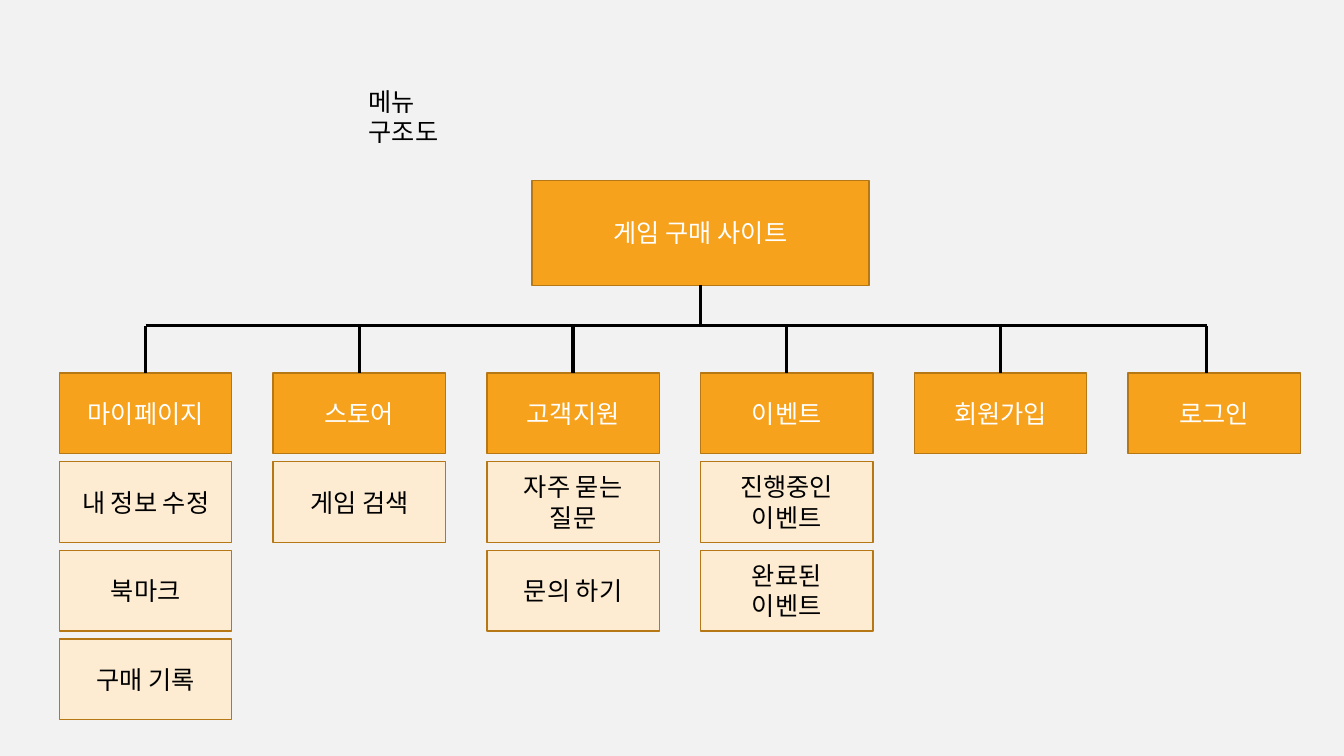
from dataclasses import dataclass

from lxml import etree
from pptx import Presentation
from pptx import util as u
from pptx.dml.color import RGBColor
from pptx.enum import shapes, text
from pptx.oxml.ns import qn


@dataclass(frozen=True)
class Theme:
    back: str = "F2F2F2"
    main: str = "F6A21D"
    pale: str = "FDECD2"
    edge: str = "B67815"
    dark: str = "000000"
    light: str = "FFFFFF"
    font: str = "Cabin"
    size: float = 18
    thin: float = 1
    thick: float = 2.5


@dataclass(frozen=True)
class Box:
    left: float
    top: float
    width: float
    height: float


@dataclass(frozen=True)
class Menu:
    name: str
    items: tuple = ()


THEME = Theme()
ROOT = Box(380.16, 128.88, 240.48, 74.88)
CELL = Box(42.5, 266.4, 123.12, 57.6)
STEP_X, STEP_Y = 152.64, 63.36
BUS_Y = 232.56
LAST_X = 861.84  # the last drop sits left of its box's middle

MENUS = (
    Menu("마이페이지", ("내 정보 수정", "북마크", "구매 기록")),
    Menu("스토어", ("게임 검색",)),
    Menu("고객지원", ("자주 묻는\n질문", "문의 하기")),
    Menu("이벤트", ("진행중인\n이벤트", "완료된\n이벤트")),
    Menu("회원가입"),
    Menu("로그인"),
)


def rgb(code: str) -> RGBColor:
    return RGBColor.from_string(code)


def style(frame, ink: str, align) -> None:
    for para in frame.paragraphs:
        para.alignment = align
        for run in para.runs:
            run.font.name = THEME.font
            run.font.size = u.Pt(THEME.size)
            run.font.color.rgb = rgb(ink)


def add_box(slide, box: Box, label: str, fill: str, ink: str):
    shape = slide.shapes.add_shape(
        shapes.MSO_SHAPE.RECTANGLE,
        u.Pt(box.left), u.Pt(box.top), u.Pt(box.width), u.Pt(box.height))
    shape.shadow.inherit = False
    shape.fill.solid()
    shape.fill.fore_color.rgb = rgb(fill)
    shape.line.color.rgb = rgb(THEME.edge)
    shape.line.width = u.Pt(THEME.thin)
    frame = shape.text_frame
    frame.word_wrap = True
    frame.vertical_anchor = text.MSO_ANCHOR.MIDDLE
    frame.text = label
    style(frame, ink, text.PP_ALIGN.CENTER)
    return shape


def add_line(slide, x1: float, y1: float, x2: float, y2: float):
    line = slide.shapes.add_connector(
        shapes.MSO_CONNECTOR.STRAIGHT,
        u.Pt(x1), u.Pt(y1), u.Pt(x2), u.Pt(y2))
    line.line.color.rgb = rgb(THEME.dark)
    line.line.width = u.Pt(THEME.thick)
    etree.SubElement(line._element.spPr, qn("a:effectLst"))
    return line


def add_title(slide, label: str) -> None:
    box = slide.shapes.add_textbox(
        u.Pt(256.32), u.Pt(58.32), u.Pt(85.68), u.Pt(28.8))
    frame = box.text_frame
    frame.word_wrap = True
    frame.text = label
    style(frame, THEME.dark, text.PP_ALIGN.LEFT)


def add_menu(slide, col: int, menu: Menu) -> None:
    """Draw one column: its drop line, its head and the items below."""
    left = CELL.left + col * STEP_X
    mid = left + CELL.width / 2
    last = col == len(MENUS) - 1
    for row, label in enumerate((menu.name, *menu.items)):
        box = Box(left, CELL.top + row * STEP_Y, CELL.width, CELL.height)
        if row:
            add_box(slide, box, label, THEME.pale, THEME.dark)
        else:
            head = add_box(slide, box, label, THEME.main, THEME.light)
    x = LAST_X if last else mid
    drop = add_line(slide, x, BUS_Y, x, CELL.top)
    if not last:
        drop.end_connect(head, 0)


def main() -> None:
    deck = Presentation()
    deck.slide_width, deck.slide_height = u.Pt(960), u.Pt(540)
    slide = deck.slides.add_slide(deck.slide_layouts[6])
    slide.background.fill.solid()
    slide.background.fill.fore_color.rgb = rgb(THEME.back)

    add_title(slide, "메뉴 구조도")
    root = add_box(slide, ROOT, "게임 구매 사이트", THEME.main, THEME.light)
    mid = ROOT.left + ROOT.width / 2
    stem = add_line(slide, mid, ROOT.top + ROOT.height, mid, BUS_Y)
    stem.begin_connect(root, 2)
    add_line(slide, CELL.left + CELL.width / 2, BUS_Y, LAST_X, BUS_Y)
    for col, menu in enumerate(MENUS):
        add_menu(slide, col, menu)
    deck.save("out.pptx")


if __name__ == "__main__":
    main()
